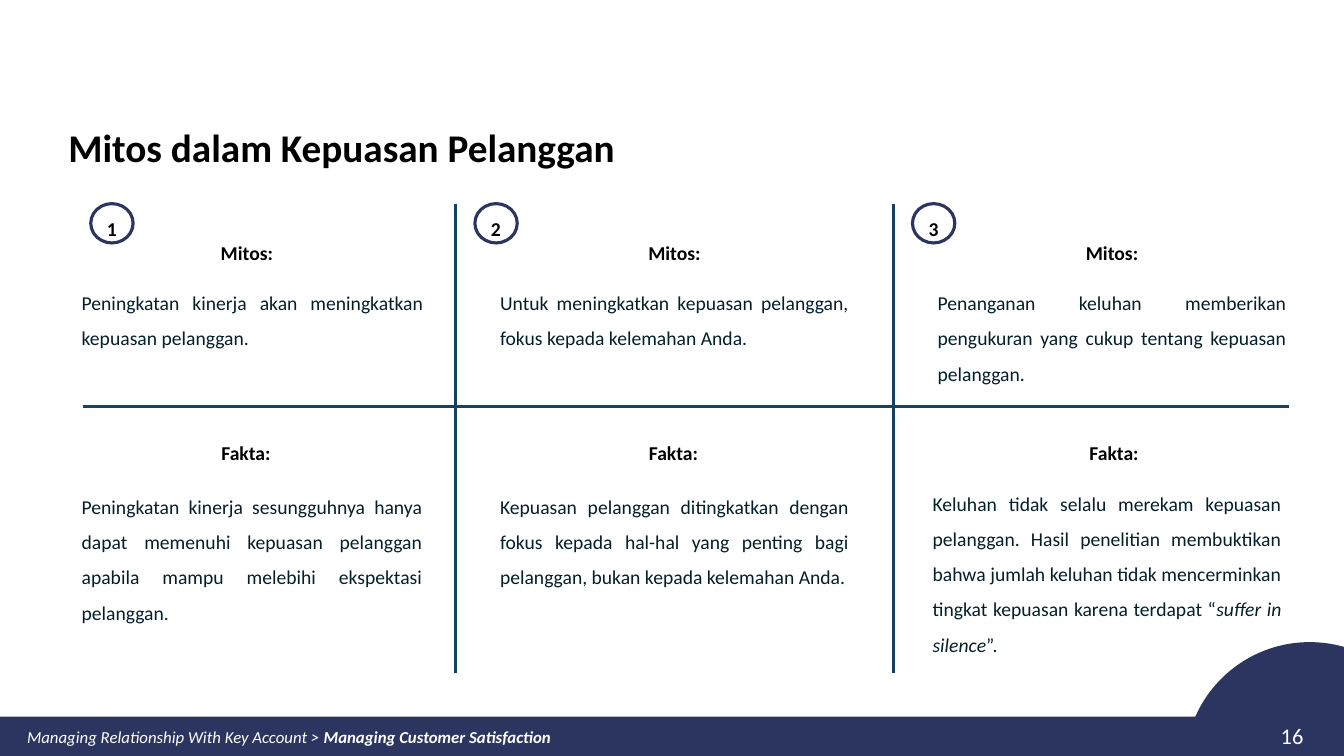
from dataclasses import dataclass

from lxml.etree import SubElement
from pptx import Presentation
from pptx.dml.color import RGBColor
from pptx.enum.shapes import MSO_CONNECTOR, MSO_SHAPE
from pptx.enum.text import MSO_ANCHOR, PP_ALIGN
from pptx.oxml.ns import qn
from pptx.util import Inches, Pt


@dataclass(frozen=True)
class Theme:
    font: str = "Calibri"
    navy: str = "2C355F"
    rule: str = "134263"
    body: str = "031F2A"
    black: str = "000000"
    white: str = "FFFFFF"
    title_size: int = 28
    page_size: int = 16
    text_size: int = 14
    footer_size: int = 12
    line_width: float = 2.25


THEME = Theme()
PADDING = (0.1, 0.05)
HEADING_SIZE = (2.64, 0.46)
MYTH_TOP, FACT_TOP = 2.22, 4.2
BADGE_TOP = 2.02

COLUMNS = [
    dict(
        badge=0.9,
        headings=(1.13, 1.12),
        indent=0.09,
        myth=((0.72, 2.77, 3.48, 0.75),
              ["Peningkatan kinerja akan meningkatkan kepuasan pelanggan."]),
        fact=((0.72, 4.79, 3.47, 1.42),
              ["Peningkatan kinerja sesungguhnya hanya dapat memenuhi kepuasan "
               "pelanggan apabila mampu melebihi ekspektasi pelanggan."]),
    ),
    dict(
        badge=4.71,
        headings=(5.37, 5.36),
        indent=0,
        myth=((4.96, 2.77, 3.46, 0.75),
              ["Untuk meningkatkan kepuasan pelanggan, fokus kepada kelemahan Anda."]),
        fact=((4.96, 4.79, 3.46, 1.19),
              ["Kepuasan pelanggan ditingkatkan dengan fokus kepada hal-hal yang "
               "penting bagi pelanggan, bukan kepada kelemahan Anda."]),
    ),
    dict(
        badge=9.05,
        headings=(9.71, 9.73),
        indent=0,
        myth=((9.3, 2.77, 3.46, 1),
              ["Penanganan keluhan memberikan pengukuran yang cukup tentang "
               "kepuasan pelanggan."]),
        fact=((9.25, 4.76, 3.46, 1.69),
              ["Keluhan tidak selalu merekam kepuasan pelanggan. Hasil penelitian "
               "membuktikan bahwa jumlah keluhan tidak mencerminkan tingkat "
               "kepuasan karena terdapat “",
               ("suffer in silence", dict(italic=True)),
               "”."]),
    ),
]


def color(code):
    return RGBColor.from_string(code)


def write(frame, runs, size=THEME.text_size, fill=THEME.black, bold=False, italic=False,
          align=PP_ALIGN.LEFT, anchor=MSO_ANCHOR.MIDDLE, spacing=1.0, padding=PADDING,
          indent=0):
    frame.word_wrap = True
    frame.vertical_anchor = anchor
    frame.margin_left = frame.margin_right = Inches(padding[0])
    frame.margin_top = frame.margin_bottom = Inches(padding[1])
    paragraph = frame.paragraphs[0]
    paragraph.alignment = align
    paragraph.line_spacing = spacing
    if indent:
        paragraph._p.get_or_add_pPr().set("marL", str(Inches(indent)))
    for item in runs:
        text, changes = (item, {}) if isinstance(item, str) else item
        run = paragraph.add_run()
        run.text = text
        font = run.font
        font.name = THEME.font
        font.size = Pt(size)
        font.color.rgb = color(fill)
        font.bold = changes.get("bold", bold)
        font.italic = changes.get("italic", italic)


def add_text(slide, box, runs, **style):
    write(slide.shapes.add_textbox(*map(Inches, box)).text_frame, runs, **style)


def add_panel(slide, box, runs, **style):
    left, top, width, height = map(Inches, box)
    right, bottom = left + width, top + height
    outline = slide.shapes.build_freeform(left, top)
    outline.add_line_segments([(right, top), (right, bottom), (left, bottom)], close=True)
    panel = outline.convert_to_shape()
    panel.shadow.inherit = False
    panel.fill.background()
    panel.line.fill.background()
    write(panel.text_frame, runs, spacing=1.5, padding=(0, 0), **style)


def add_solid(slide, preset, box, fill, outline=None):
    solid = slide.shapes.add_shape(preset, *map(Inches, box))
    solid.shadow.inherit = False
    solid.fill.solid()
    solid.fill.fore_color.rgb = color(fill)
    if outline:
        solid.line.color.rgb = color(outline)
        solid.line.width = Pt(THEME.line_width)
    else:
        solid.line.fill.background()
    return solid


def add_rule(slide, *ends):
    rule = slide.shapes.add_connector(MSO_CONNECTOR.STRAIGHT, *map(Inches, ends))
    rule.line.color.rgb = color(THEME.rule)
    rule.line.width = Pt(THEME.line_width)
    SubElement(rule._element.spPr, qn("a:effectLst"))


def add_badge(slide, left, number):
    badge = add_solid(slide, MSO_SHAPE.OVAL, (left, BADGE_TOP, 0.42, 0.39),
                      THEME.white, THEME.navy)
    write(badge.text_frame, [str(number)], bold=True, align=PP_ALIGN.JUSTIFY, spacing=1.5)


def add_column(slide, number, column):
    headings = zip(("Mitos:", "Fakta:"), column["headings"], (MYTH_TOP, FACT_TOP))
    for heading, left, top in headings:
        add_panel(slide, (left, top, *HEADING_SIZE), [heading], bold=True,
                  align=PP_ALIGN.CENTER)
    for box, runs in (column["myth"], column["fact"]):
        add_panel(slide, box, runs, fill=THEME.body, align=PP_ALIGN.JUSTIFY,
                  anchor=MSO_ANCHOR.TOP, indent=column["indent"])
    add_badge(slide, column["badge"], number)


def add_footer(slide):
    add_solid(slide, MSO_SHAPE.RECTANGLE, (0, 7.11, 13.33, 0.4), THEME.navy)
    add_solid(slide, MSO_SHAPE.OVAL, (11.75, 6.37, 2.48, 2.48), THEME.navy)
    add_text(slide, (12.51, 7.1, 0.61, 0.4), ["16"], size=THEME.page_size,
             fill=THEME.white, align=PP_ALIGN.CENTER)
    add_text(slide, (0.17, 7.11, 6.5, 0.4),
             ["Managing Relationship With Key Account > ",
              ("Managing Customer Satisfaction", dict(bold=True))],
             size=THEME.footer_size, fill=THEME.white, italic=True)


def main():
    deck = Presentation()
    deck.slide_width, deck.slide_height = Inches(13.33), Inches(7.5)
    slide = deck.slides.add_slide(deck.slide_layouts[6])
    add_footer(slide)
    add_text(slide, (0.58, 1.11, 9.91, 0.75), ["Mitos dalam Kepuasan Pelanggan"],
             size=THEME.title_size, bold=True, spacing=0.9)
    for divider in (4.52, 8.86):
        add_rule(slide, divider, 2.02, divider, 6.68)
    add_rule(slide, 0.82, 4.03, 12.78, 4.03)
    for number, column in enumerate(COLUMNS, 1):
        add_column(slide, number, column)
    deck.save("out.pptx")


if __name__ == "__main__":
    main()
